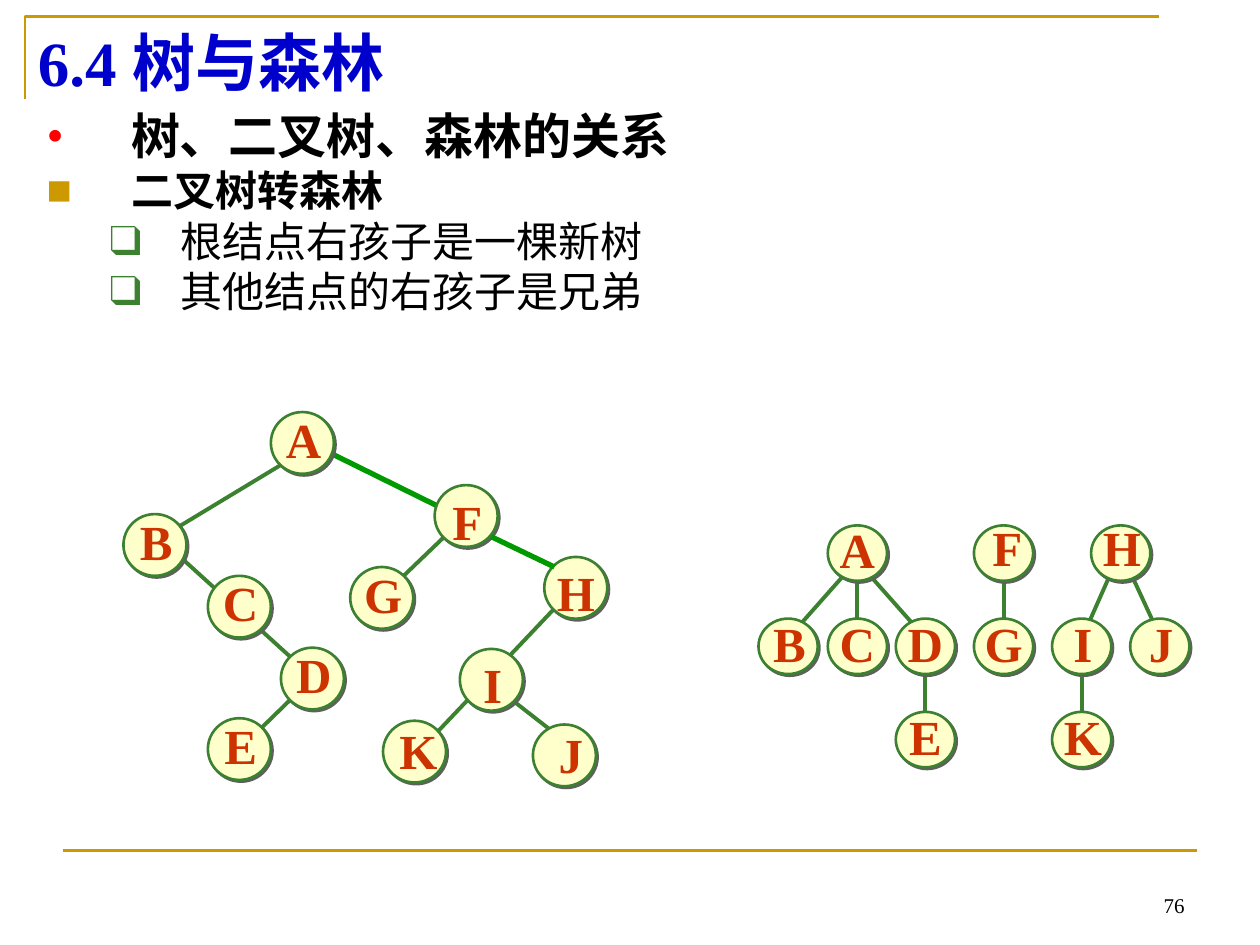
"""Build the slide on turning a binary tree into a forest."""
from lxml.etree import SubElement
from pptx import Presentation
from pptx.dml.color import RGBColor
from pptx.enum.shapes import MSO_CONNECTOR, MSO_SHAPE
from pptx.enum.text import MSO_ANCHOR, PP_ALIGN
from pptx.oxml.ns import qn
from pptx.util import Inches, Pt

GOLD = RGBColor(0xCC, 0x99, 0x00)
GREEN = RGBColor(0x3B, 0x81, 0x2F)
BRIGHT_GREEN = RGBColor(0x00, 0x99, 0x00)
CREAM = RGBColor(0xFF, 0xFF, 0xCC)
RUST = RGBColor(0xCC, 0x33, 0x00)
RED = RGBColor(0xFF, 0x00, 0x00)
BLUE = RGBColor(0x00, 0x00, 0xCC)
BLACK = RGBColor(0x00, 0x00, 0x00)
SHADOW = RGBColor(0x5F, 0x5F, 0x5F)
LATIN = "Times New Roman"
CJK = "Noto Sans CJK SC"

prs = Presentation()
prs.slide_width, prs.slide_height = Inches(10), Inches(7.5)
slide = prs.slides.add_slide(prs.slide_layouts[1])
shapes = slide.shapes


def add_line(x1, y1, x2, y2, color, width):
    line = shapes.add_connector(
        MSO_CONNECTOR.STRAIGHT, Inches(x1), Inches(y1), Inches(x2), Inches(y2))
    line.line.color.rgb = color
    line.line.width = Pt(width)
    SubElement(line._element.spPr, qn("a:effectLst"))


def add_label(text, x, y, width, height, size, color, bold, align, anchor):
    frame = shapes.add_textbox(
        Inches(x), Inches(y), Inches(width), Inches(height)).text_frame
    frame.word_wrap = False
    frame.vertical_anchor = anchor
    frame.text = text
    paragraph = frame.paragraphs[0]
    paragraph.alignment = align
    paragraph.font.name, paragraph.font.size = LATIN, Pt(size)
    paragraph.font.bold, paragraph.font.color.rgb = bold, color


corner_builder = shapes.build_freeform(Inches(0.2), Inches(0.79))
corner_builder.add_line_segments(
    [(Inches(0.2), Inches(0.13)), (Inches(9.2), Inches(0.13))], close=False)
corner = corner_builder.convert_to_shape()
corner.fill.background()
corner.line.color.rgb = GOLD
corner.line.width = Pt(1.5)
corner.shadow.inherit = False
add_line(0.5, 6.75, 9.5, 6.75, GOLD, 1.5)
add_label("76", 7.17, 6.83, 2.33, 0.5, 12, BLACK, False,
          PP_ALIGN.RIGHT, MSO_ANCHOR.BOTTOM)

title = shapes.title
title.left, title.top = Inches(0.2), Inches(0.13)
title.width, title.height = Inches(9), Inches(0.71)
title.text_frame.text = "6.4 树与森林"
title.text_frame.vertical_anchor = MSO_ANCHOR.MIDDLE
heading = title.text_frame.paragraphs[0]
heading.alignment = PP_ALIGN.LEFT
heading.font.name, heading.font.size = LATIN, Pt(36)
heading.font.bold, heading.font.color.rgb = True, BLUE

outline = slide.placeholders[1]
outline.left, outline.top = Inches(0.27), Inches(0.84)
outline.width, outline.height = Inches(9.53), Inches(4.25)
points = [
    ("树、二叉树、森林的关系", 0, 28, True, "•", RED),
    ("二叉树转森林", 0, 24, True, "■", GOLD),
    ("根结点右孩子是一棵新树", 1, 24, False, "❑", GREEN),
    ("其他结点的右孩子是兄弟", 1, 24, False, "❑", GREEN),
]
outline.text_frame.text = "\n".join(point[0] for point in points)
for index, (paragraph, point) in enumerate(zip(outline.text_frame.paragraphs, points)):
    _, level, size, bold, bullet, bullet_color = point
    paragraph.level = level
    paragraph.line_spacing = 0.9
    paragraph.space_before = Pt(3 if index else 0)
    margin, indent = [(0.67, -0.67), (1.06, -0.56)][level]
    props = paragraph._p.get_or_add_pPr()
    props.set("marL", str(Inches(margin)))
    props.set("indent", str(Inches(indent)))
    SubElement(SubElement(props, qn("a:buClr")), qn("a:srgbClr"), val=str(bullet_color))
    SubElement(props, qn("a:buFont"), typeface=LATIN)
    SubElement(props, qn("a:buChar"), char=bullet)
    paragraph.font.name, paragraph.font.size = CJK, Pt(size)
    paragraph.font.bold, paragraph.font.color.rgb = bold, BLACK

forest_edges = [
    (8.97, 4.54, 9.21, 5.06), (8.82, 4.54, 8.59, 5.06),
    (6.88, 4.54, 7.27, 4.98), (6.72, 4.54, 6.33, 4.98),
    (8.59, 5.28, 8.59, 5.72), (7.34, 5.28, 7.34, 5.72),
    (7.97, 4.54, 7.97, 4.98), (6.8, 4.54, 6.8, 4.98),
]
binary_edges = [
    (2.4, 5.46, 1.98, 5.87), (1.32, 4.32, 2.4, 5.3), (2.23, 3.69, 1.32, 4.24),
    (4.07, 5.56, 4.48, 5.88), (4.4, 4.83, 3.48, 5.8), (3.61, 4.18, 3.11, 4.66),
]
for edge in forest_edges + binary_edges:
    add_line(*edge, GREEN, 2.25)
add_line(2.65, 3.61, 3.48, 4.02, BRIGHT_GREEN, 3)

forest_nodes = [
    ("A", 6.57, 4.17, 0, -0.03), ("F", 7.73, 4.17, 0.03, -0.05),
    ("H", 8.66, 4.17, 0.01, -0.05), ("B", 6.02, 4.91, 0.01, -0.03),
    ("C", 6.57, 4.91, 0, -0.03), ("D", 7.11, 4.91, 0, -0.03),
    ("G", 7.73, 4.91, 0, -0.03), ("I", 8.35, 4.91, 0.01, -0.03),
    ("J", 8.97, 4.91, 0.01, -0.03), ("E", 7.11, 5.65, 0, -0.03),
    ("K", 8.35, 5.65, 0.01, -0.03),
]
binary_nodes = [
    ("A", 2.15, 3.27, 0.01, -0.03), ("B", 0.98, 4.08, 0.01, -0.03),
    ("C", 1.65, 4.57, 0.01, -0.04), ("D", 2.23, 5.14, 0.01, -0.04),
    ("E", 1.65, 5.7, 0.01, -0.03), ("F", 3.45, 3.85, 0.01, 0.04),
    ("G", 2.78, 4.5, 0.01, -0.03), ("H", 4.32, 4.42, 0, 0.03),
    ("I", 3.65, 5.15, 0.01, 0.03), ("K", 3.04, 5.72, 0.03, -0.01),
    ("J", 4.23, 5.75, 0.05, -0.01),
]
for nodes, width, height in [(forest_nodes, 0.47, 0.44), (binary_nodes, 0.5, 0.49)]:
    for letter, x, y, shift_x, shift_y in nodes:
        node = shapes.add_shape(
            MSO_SHAPE.OVAL, Inches(x), Inches(y), Inches(width), Inches(height))
        node.fill.solid()
        node.fill.fore_color.rgb = CREAM
        node.line.color.rgb = GREEN
        node.line.width = Pt(1.5)
        node.shadow.inherit = False
        effects = node._element.spPr.find(qn("a:effectLst"))
        shadow = SubElement(effects, qn("a:outerShdw"), dist=str(Pt(1.4)),
                            dir="2700000", algn="ctr", rotWithShape="0")
        SubElement(shadow, qn("a:srgbClr"), val=str(SHADOW))
        add_label(letter, x + shift_x + width / 2 - 0.25,
                  y + shift_y + height / 2 - 0.285, 0.5, 0.57, 28, RUST, True,
                  PP_ALIGN.CENTER, MSO_ANCHOR.MIDDLE)
add_line(3.9, 4.26, 4.4, 4.5, BRIGHT_GREEN, 3)

prs.save("out.pptx")
